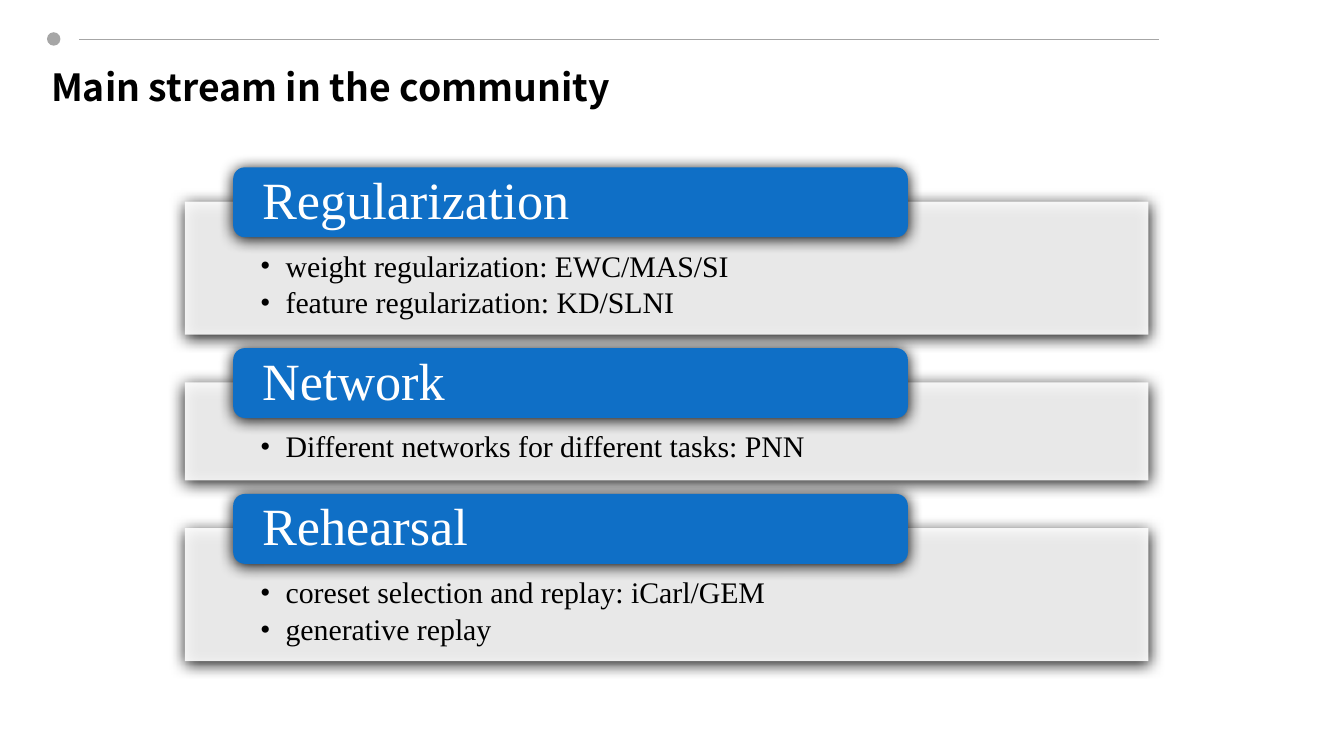
from lxml import etree
from pptx import Presentation
from pptx import util as u
from pptx.dml.color import RGBColor
from pptx.enum import shapes, text
from pptx.oxml import ns

HUES = {"ink": "000000", "paper": "FFFFFF", "blue": "0F6FC6", "grey": "A6A6A6"}
SERIF, SANS = "Times New Roman", "Noto Sans CJK SC"
COLS, ROWS = 100, 56.25
TOPICS = [
    ("Regularization", ["weight regularization: EWC/MAS/SI",
                        "feature regularization: KD/SLNI"]),
    ("Network", ["Different networks for different tasks: PNN"]),
    ("Rehearsal", ["coreset selection and replay: iCarl/GEM",
                   "generative replay"]),
]


def add(node, tag, **attrs):
    """Append a drawing element such as a:effectLst and return it."""
    return etree.SubElement(node, ns.qn(tag), {k: str(v) for k, v in attrs.items()})


def rgb(name):
    return RGBColor.from_string(HUES[name])


def write(frame, lines, size, hue="ink", font=SERIF, bold=False, pad=(0, 0, 0, 0),
          anchor=text.MSO_ANCHOR.TOP, lead=0.9, after=0, bullet=False):
    """Fill a text frame; pad is left, top, right, bottom in inches."""
    frame.word_wrap, frame.auto_size = True, text.MSO_AUTO_SIZE.NONE
    frame.vertical_anchor = anchor
    (frame.margin_left, frame.margin_top,
     frame.margin_right, frame.margin_bottom) = map(u.Inches, pad)
    for i, line in enumerate(lines):
        para = frame.add_paragraph() if i else frame.paragraphs[0]
        para.alignment, para.line_spacing = text.PP_ALIGN.LEFT, lead
        para.space_before, para.space_after = u.Pt(0), u.Pt(after)
        run = para.add_run()
        run.text = line
        run.font.name, run.font.size, run.font.bold = font, u.Pt(size), bold
        run.font.color.rgb = rgb(hue)
        add(run.font._element, "a:ea", typeface=font)
        if bullet:
            prop = para._p.get_or_add_pPr()
            prop.set("marL", str(u.Inches(0.19)))
            prop.set("indent", str(-u.Inches(0.19)))
            add(prop, "a:buFont", typeface=SERIF)
            add(prop, "a:buChar", char="•")


class Deck:
    """Holds the page grid, the style and the current slide."""

    def __init__(self):
        self.prs = Presentation()
        self.prs.slide_width = u.Inches(10)
        self.prs.slide_height = self.prs.slide_width * 9 // 16
        self.slide = self.prs.slides.add_slide(self.prs.slide_layouts[4])

    def grid(self, x, y, w, h):
        wide, high = self.prs.slide_width / COLS, self.prs.slide_height / ROWS
        return [int(n) for n in (x * wide, y * high, w * wide, h * high)]

    def hold(self, idx, cells, lines, size, **style):
        """Place a template placeholder on top and write in it."""
        ph = self.slide.placeholders[idx]
        ph.left, ph.top, ph.width, ph.height = self.grid(*cells)
        self.slide.shapes._spTree.append(ph._element)
        write(ph.text_frame, lines, size, **style)

    def shape(self, kind, cells, hue, alpha=100, glow=False):
        shp = self.slide.shapes.add_shape(kind, *self.grid(*cells))
        shp.shadow.inherit = False
        shp.fill.solid()
        shp.fill.fore_color.rgb = rgb(hue)
        shp.line.fill.background()
        props = shp._element.spPr
        if alpha < 100:
            add(props.find(".//" + ns.qn("a:srgbClr")), "a:alpha", val=alpha * 1000)
        if glow:
            cast = add(props.find(ns.qn("a:effectLst")), "a:outerShdw",
                       blurRad=u.Pt(8.5), dist=u.Pt(1), dir=5400000,
                       algn="ctr", rotWithShape=0)
            add(cast, "a:srgbClr", val=HUES["ink"])
        return shp

    def rule(self, x, y, w, hue):
        left, top, wide, _ = self.grid(x, y, w, 0)
        line = self.slide.shapes.add_connector(
            shapes.MSO_CONNECTOR.STRAIGHT, left, top, left + wide, top)
        line.line.color.rgb, line.line.width = rgb(hue), u.Pt(0.75)
        add(line._element.spPr, "a:effectLst")

    def topic(self, idx, top, high, head, items):
        """A pale panel with a list, and a blue tab over its top edge."""
        panel = (13.75, top, 71.7, high)
        self.shape(shapes.MSO_SHAPE.RECTANGLE, panel, "paper", alpha=90, glow=True)
        self.hold(idx, panel, items, 16, pad=(0.56, 0.37, 0.56, 0.12),
                  after=2.4, bullet=True)
        tab = self.shape(shapes.MSO_SHAPE.ROUNDED_RECTANGLE,
                         (17.35, top - 2.55, 50.2, 5.2), "blue", glow=True)
        write(tab.text_frame, [head], 28, hue="paper", pad=(0.19, 0, 0.19, 0),
              anchor=text.MSO_ANCHOR.MIDDLE)

    def prune(self):
        """Remove placeholders left empty."""
        for ph in list(self.slide.placeholders):
            if not ph.text_frame.text:
                ph._element.getparent().remove(ph._element)


def main():
    deck = Deck()

    # Header: dot, rule and title
    deck.rule(5.9, 2.95, 80.35, "grey")
    deck.shape(shapes.MSO_SHAPE.OVAL, (3.5, 2.4, 1, 1), "grey")
    deck.hold(0, (2.8, 4.3, 66.1, 3.9), ["Main stream in the community"], 20,
              font=SANS, bold=True, pad=(0.1, 0.05, 0.1, 0.05), lead=1.0)

    # Topics: panel height follows the number of list items
    top = 15
    for idx, (head, items) in enumerate(TOPICS, 1):
        high = 4.7 + 2.6 * len(items)
        deck.topic(idx, top, high, head, items)
        top += high + 3.55

    deck.prune()
    deck.prs.save("out.pptx")


if __name__ == "__main__":
    main()
